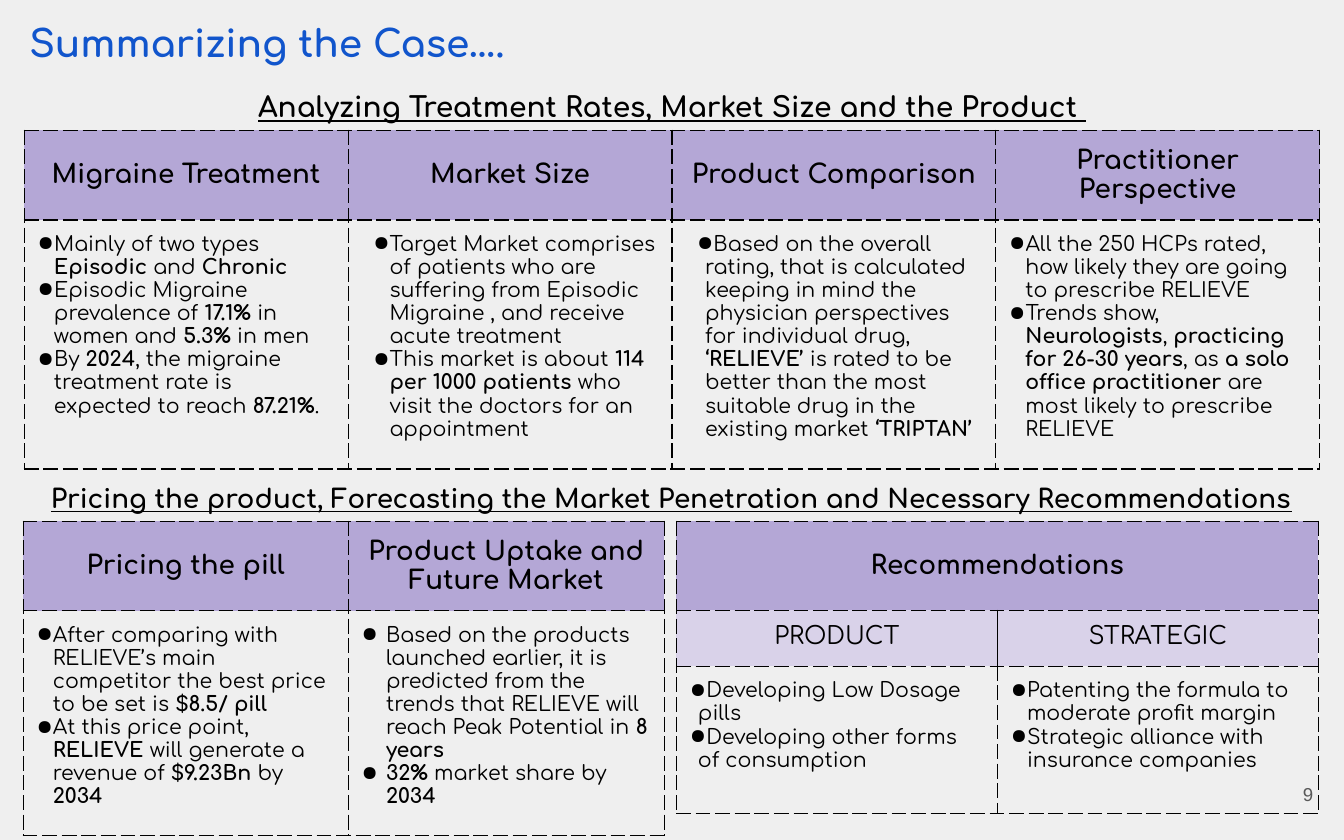
from lxml import etree
from pptx import Presentation
from pptx.dml.color import RGBColor
from pptx.enum.text import MSO_ANCHOR, PP_ALIGN
from pptx.oxml.ns import qn
from pptx.util import Pt

LEFT, CENTER, RIGHT = PP_ALIGN.LEFT, PP_ALIGN.CENTER, PP_ALIGN.RIGHT
TOP, MIDDLE = MSO_ANCHOR.TOP, MSO_ANCHOR.MIDDLE

COLORS = {
    "background": "EFEFEF",
    "title": "1155CC",
    "ink": "000000",
    "number": "595959",
    "header": "B4A7D6",
    "subheader": "D9D2E9",
}
INSET = 7.2
WIDE_INSET = 13.5
HEADER_HEIGHT = 47.7

# Each body column: left inset, text indent, bullet hang, bullet points (** marks bold)
ANALYSIS = {
    "Migraine Treatment": (INSET, 8.7, 14.4, [
        "Mainly of two types **Episodic** and **Chronic**",
        "Episodic Migraine prevalence of **17.1%** in women and **5.3%** in men",
        "By **2024**, the migraine treatment rate is expected to reach **87.21%**.",
    ]),
    "Market Size": (WIDE_INSET, 8.7, 14.4, [
        "Target Market comprises of patients who are suffering from Episodic "
        "Migraine , and receive acute treatment",
        "This market is about **114 per 1000 patients** who visit the doctors "
        "for an appointment",
    ]),
    "Product Comparison": (WIDE_INSET, 4.3, 9.4, [
        "Based on the overall rating, that is calculated keeping in mind the "
        "physician perspectives for individual drug, **‘RELIEVE’ **is rated to be "
        "better than the most suitable drug in the existing market **‘TRIPTAN’**",
    ]),
    "Practitioner Perspective": (INSET, 8.7, 10.8, [
        "All the 250 HCPs rated, how likely they are going to prescribe RELIEVE",
        "Trends show, **Neurologists**, **practicing for 26-30 years**, as "
        "**a solo office practitioner** are most likely to prescribe RELIEVE",
    ]),
}
PRICING = {
    "Pricing the pill": (INSET, 8.7, 14.4, [
        "After comparing with RELIEVE’s main competitor the best price to be set "
        "is **$8.5/ pill**",
        "At this price point, **RELIEVE** will generate a revenue of **$9.23Bn** "
        "by **2034**",
    ]),
    "Product Uptake and Future Market": (INSET, 13, 14.4, [
        "Based on the products launched earlier, it is predicted from the trends "
        "that RELIEVE will reach Peak Potential in **8 years**",
        "**32% **market share by **2034**",
    ]),
}
RECOMMENDATIONS = {
    "PRODUCT": (INSET, 4.3, 5.8, [
        "Developing Low Dosage pills",
        "Developing other forms of consumption",
    ]),
    "STRATEGIC": (INSET, 8.7, 10.8, [
        "Patenting the formula to moderate profit margin",
        "Strategic alliance with insurance companies",
    ]),
}


def write(paragraph, text, size=11, color="ink", font="Comfortaa", bold=False,
          underline=False, align=LEFT):
    """Fill a paragraph; parts between ** marks switch the weight."""
    paragraph.alignment = align
    for index, part in enumerate(text.split("**")):
        if part:
            run = paragraph.add_run()
            run.text = part
            run.font.size = Pt(size)
            run.font.name = font
            run.font.bold = bold != (index % 2 == 1)
            run.font.underline = underline
            run.font.color.rgb = RGBColor.from_string(COLORS[color])


def add_label(slide, box, text, anchor=TOP, **style):
    frame = slide.shapes.add_textbox(*map(Pt, box)).text_frame
    frame.word_wrap = True
    frame.vertical_anchor = anchor
    frame.margin_left = frame.margin_right = Pt(INSET)
    frame.margin_top = frame.margin_bottom = Pt(INSET)
    write(frame.paragraphs[0], text, **style)


def add_bullet(paragraph, indent, hang):
    properties = paragraph._p.get_or_add_pPr()
    properties.set("marL", str(Pt(indent)))
    properties.set("indent", str(-Pt(hang)))
    color = etree.SubElement(properties, qn("a:buClr"))
    etree.SubElement(color, qn("a:srgbClr"), val=COLORS["ink"])
    etree.SubElement(properties, qn("a:buChar"), char="●")


def set_borders(cell, solid=()):
    properties = cell._tc.get_or_add_tcPr()
    for index, side in enumerate("LRTB"):
        line = etree.Element(qn("a:ln" + side), w=str(Pt(0.75)))
        fill = etree.SubElement(line, qn("a:solidFill"))
        etree.SubElement(fill, qn("a:srgbClr"), val=COLORS["ink"])
        dash = "solid" if side in solid else "dash"
        etree.SubElement(line, qn("a:prstDash"), val=dash)
        properties.insert(index, line)


def format_cell(cell, fill=None, anchor=TOP, left=INSET, solid=()):
    cell.vertical_anchor = anchor
    cell.margin_left = Pt(left)
    cell.margin_right = cell.margin_top = cell.margin_bottom = Pt(INSET)
    if fill:
        cell.fill.solid()
        cell.fill.fore_color.rgb = RGBColor.from_string(COLORS[fill])
    else:
        cell.fill.background()
    set_borders(cell, solid)


def fill_header(cell, text, anchor=MIDDLE):
    format_cell(cell, "header", anchor)
    write(cell.text_frame.paragraphs[0], text, size=14, bold=True, align=CENTER)


def fill_body(cell, left, indent, hang, points):
    format_cell(cell, left=left)
    frame = cell.text_frame
    for index, point in enumerate(points):
        paragraph = frame.add_paragraph() if index else frame.paragraphs[0]
        write(paragraph, point)
        add_bullet(paragraph, indent, hang)


def add_grid(slide, left, top, widths, heights):
    table = slide.shapes.add_table(
        len(heights), len(widths), Pt(left), Pt(top),
        Pt(sum(widths)), Pt(sum(heights))).table
    table.first_row = table.horz_banding = False
    for column, width in zip(table.columns, widths):
        column.width = Pt(width)
    for row, height in zip(table.rows, heights):
        row.height = Pt(height)
    return table


def add_topic_table(slide, left, top, widths, body_height, topics):
    """One header row above one row of bullet points."""
    table = add_grid(slide, left, top, widths, [HEADER_HEIGHT, body_height])
    for column, (heading, body) in enumerate(topics.items()):
        fill_header(table.cell(0, column), heading)
        fill_body(table.cell(1, column), *body)


def add_recommendation_table(slide, left, top, widths, heights):
    """A spanning header above two titled columns."""
    table = add_grid(slide, left, top, widths, heights)
    header = table.cell(0, 0)
    header.merge(table.cell(0, 1))
    fill_header(header, "Recommendations")
    format_cell(table.cell(0, 1), "header")
    for column, (heading, body) in enumerate(RECOMMENDATIONS.items()):
        subheader = table.cell(1, column)
        format_cell(subheader, "subheader", solid="RL"[column])
        write(subheader.text_frame.paragraphs[0], heading, size=13, align=CENTER)
        fill_body(table.cell(2, column), *body)


def main():
    deck = Presentation()
    deck.slide_width, deck.slide_height = Pt(720), Pt(450)
    slide = deck.slides.add_slide(deck.slide_layouts[6])
    slide.background.fill.solid()
    slide.background.fill.fore_color.rgb = RGBColor.from_string(COLORS["background"])

    # Page number and title
    add_label(slide, (667.4, 408.2, 43.2, 34.6), "9", anchor=MIDDLE, size=10,
              color="number", font="Arial", align=RIGHT)
    add_label(slide, (8.6, 3.6, 702, 39), "Summarizing the Case….", size=20,
              color="title", bold=True)

    # Upper section
    add_topic_table(slide, 13, 69.8, [173.5] * 4, 133.4, ANALYSIS)

    # Lower section
    add_topic_table(slide, 12.4, 279.2, [174.2, 169.4], 120.5, PRICING)
    add_recommendation_table(slide, 362.4, 279.2, [171.9] * 2,
                             [HEADER_HEIGHT, 30, 78.7])

    # Section headings
    heading = dict(bold=True, underline=True, align=CENTER)
    add_label(slide, (13, 251.3, 693.4, 31.7),
              "Pricing the product, Forecasting the Market Penetration and "
              "Necessary Recommendations", size=14, **heading)
    add_label(slide, (123.8, 41, 472.3, 32.4),
              "Analyzing Treatment Rates, Market Size and the Product ",
              size=15, **heading)

    deck.save("out.pptx")


if __name__ == "__main__":
    main()
